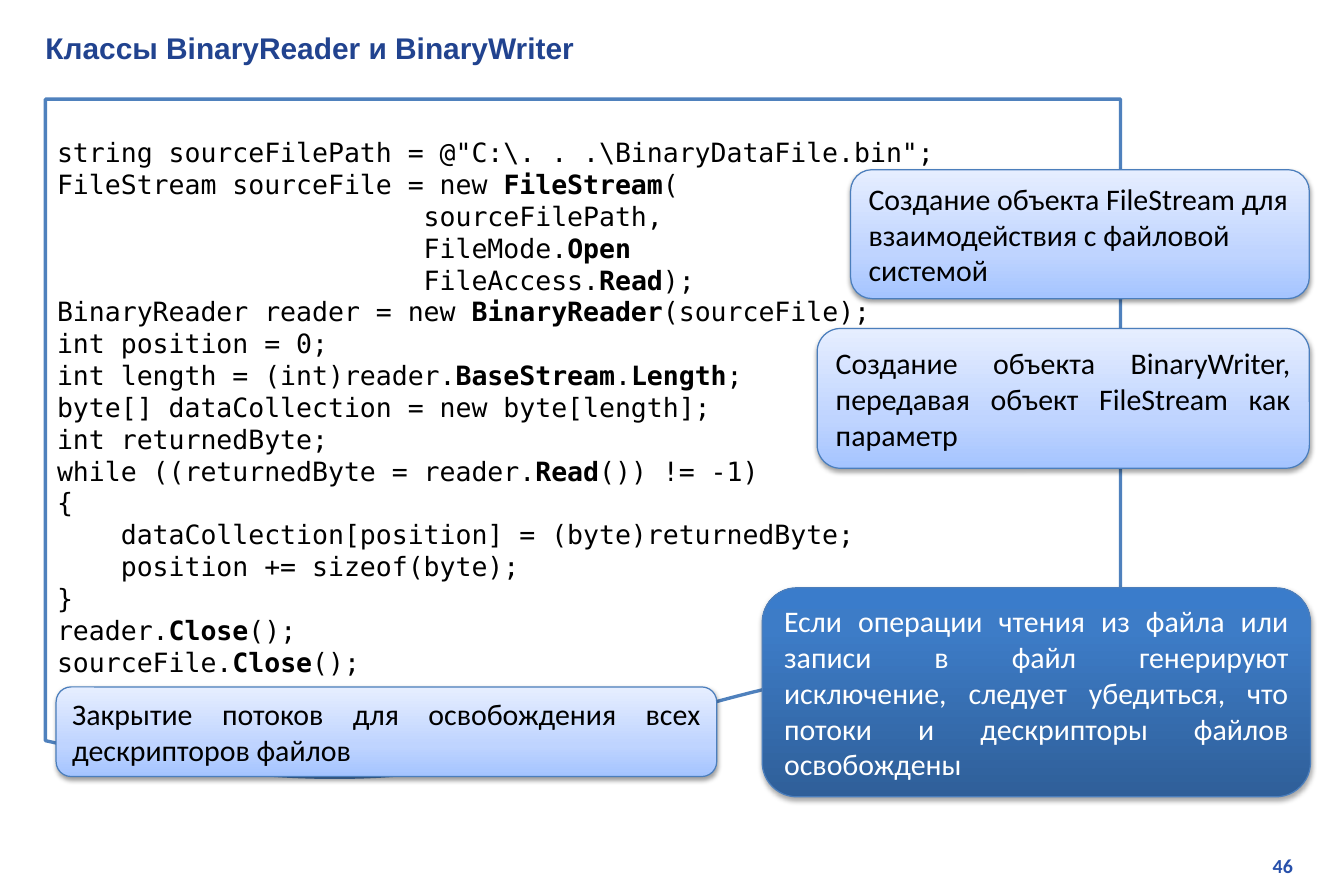
"""Build the slide about the BinaryReader and BinaryWriter classes."""
from lxml import etree
from pptx import Presentation
from pptx.dml.color import RGBColor
from pptx.enum.shapes import MSO_SHAPE
from pptx.enum.text import MSO_ANCHOR, MSO_AUTO_SIZE, PP_ALIGN
from pptx.oxml.ns import qn
from pptx.util import Inches, Pt

LEFT, RIGHT, JUSTIFY = PP_ALIGN.LEFT, PP_ALIGN.RIGHT, PP_ALIGN.JUSTIFY
TOP, MIDDLE = MSO_ANCHOR.TOP, MSO_ANCHOR.MIDDLE
DOCUMENT, ROUNDED = MSO_SHAPE.FLOWCHART_DOCUMENT, MSO_SHAPE.ROUNDED_RECTANGLE
NO_AUTOFIT = MSO_AUTO_SIZE.NONE

TITLE = "Классы BinaryReader и BinaryWriter"
PAGE_NUMBER = "46"
BOLD_MARK = "*"
CODE = r"""string sourceFilePath = @"C:\. . .\BinaryDataFile.bin";
FileStream sourceFile = new *FileStream*(
                       sourceFilePath,
                       FileMode.*Open*
                       FileAccess.*Read*);
BinaryReader reader = new *BinaryReader*(sourceFile);
int position = 0;
int length = (int)reader.*BaseStream*.*Length*;
byte[] dataCollection = new byte[length];
int returnedByte;
while ((returnedByte = reader.*Read*()) != -1)
{
    dataCollection[position] = (byte)returnedByte;
    position += sizeof(byte);
}
reader.*Close*();
sourceFile.*Close*();"""

LIGHT = {"stops": ((0, "A4C4FF"), (35, "BFD4FF"), (100, "E6EEFF")),
         "text": "000000", "shadow": (38, 1.6)}
DARK = {"stops": ((0, "2F5F99"), (80, "3D7CC7"), (100, "3A7CCB")),
        "text": "FFFFFF", "shadow": (35, 1.8)}
CALLOUTS = [
    ((0.47, 5.75, 5.53, 0.75), LIGHT, JUSTIFY,
     "Закрытие потоков для освобождения всех дескрипторов файлов"),
    ((7.12, 1.42, 3.84, 1.08), LIGHT, LEFT,
     "Создание объекта FileStream для взаимодействия с файловой системой"),
    ((6.84, 2.75, 4.12, 1.17), LIGHT, JUSTIFY,
     "Создание объекта BinaryWriter, передавая объект FileStream как параметр"),
    ((6.38, 4.92, 4.59, 1.75), DARK, JUSTIFY,
     "Если операции чтения из файла или записи в файл генерируют исключение, "
     "следует убедиться, что потоки и дескрипторы файлов освобождены"),
]


def rgb(value):
    return RGBColor.from_string(value)


def inches(box):
    return [Inches(length) for length in box]


def style(font, name, size, color, bold=False):
    font.name, font.size, font.bold = name, Pt(size), bold
    font.color.rgb = rgb(color)


def outline(shape, color, width):
    shape.line.color.rgb = rgb(color)
    shape.line.width = Pt(width)
    shape.shadow.inherit = False


def add_gradient(shape, stops):
    shape.fill.gradient()
    shape.fill.gradient_angle = 90
    stop_list = shape._element.spPr.find(qn("a:gradFill")).find(qn("a:gsLst"))
    for stop in list(stop_list):
        stop_list.remove(stop)
    for position, color in stops:
        stop = etree.SubElement(stop_list, qn("a:gs"), pos=str(position * 1000))
        etree.SubElement(stop, qn("a:srgbClr"), val=color)


def add_shadow(shape, opacity, distance):
    effects = shape._element.spPr.find(qn("a:effectLst"))
    shadow = etree.SubElement(effects, qn("a:outerShdw"), blurRad=str(Pt(3.1)),
                              dist=str(Pt(distance)), dir="5400000", rotWithShape="0")
    color = etree.SubElement(shadow, qn("a:srgbClr"), val="000000")
    etree.SubElement(color, qn("a:alpha"), val=str(opacity * 1000))


def add_title(slide):
    title = slide.shapes.title
    title.left, title.top, title.width, title.height = inches((0.28, 0.2, 10.74, 0.4))
    frame = title.text_frame
    frame.text = TITLE
    frame.auto_size = NO_AUTOFIT
    frame.vertical_anchor = MIDDLE
    frame.paragraphs[0].alignment = LEFT
    style(frame.paragraphs[0].runs[0].font, "Arial", 18, "21438F", True)


def add_code(slide):
    listing = slide.shapes.add_shape(DOCUMENT, *inches((0.38, 0.83, 9, 5.75)))
    listing.fill.solid()
    listing.fill.fore_color.rgb = rgb("FFFFFF")
    outline(listing, "4F81BD", 2)
    frame = listing.text_frame
    frame.word_wrap = True
    frame.vertical_anchor = TOP
    frame.margin_top = Inches(0.31)
    frame.text = CODE.replace(BOLD_MARK, "")
    for paragraph, line in zip(frame.paragraphs, CODE.split("\n")):
        paragraph.alignment = LEFT
        paragraph.line_spacing = Pt(19.2)
        paragraph.text = ""
        for index, part in enumerate(line.split(BOLD_MARK)):
            run = paragraph.add_run()
            run.text = part
            style(run.font, "DejaVu Sans Mono", 16, "000000", index % 2 == 1)


def add_callout(slide, box, look, alignment, text):
    callout = slide.shapes.add_shape(ROUNDED, *inches(box))
    add_gradient(callout, look["stops"])
    outline(callout, "4B7EBC", 0.75)
    add_shadow(callout, *look["shadow"])
    frame = callout.text_frame
    frame.word_wrap = True
    frame.vertical_anchor = MIDDLE
    frame.text = text
    paragraph = frame.paragraphs[0]
    paragraph.alignment = alignment
    paragraph.space_after = Pt(10)
    style(paragraph.runs[0].font, "Calibri", 18, look["text"])


def add_page_number(slide):
    frame = slide.shapes.add_textbox(*inches((8.54, 7.1, 2.38, 0.3))).text_frame
    frame.word_wrap = True
    frame.text = PAGE_NUMBER
    frame.paragraphs[0].alignment = RIGHT
    style(frame.paragraphs[0].runs[0].font, "Calibri", 12, "2750AB", True)


def main():
    deck = Presentation()
    deck.slide_width, deck.slide_height = Inches(11.25), Inches(7.5)
    slide = deck.slides.add_slide(deck.slide_layouts[5])
    add_title(slide)
    add_code(slide)
    for callout in CALLOUTS:
        add_callout(slide, *callout)
    add_page_number(slide)
    deck.save("out.pptx")


if __name__ == "__main__":
    main()
